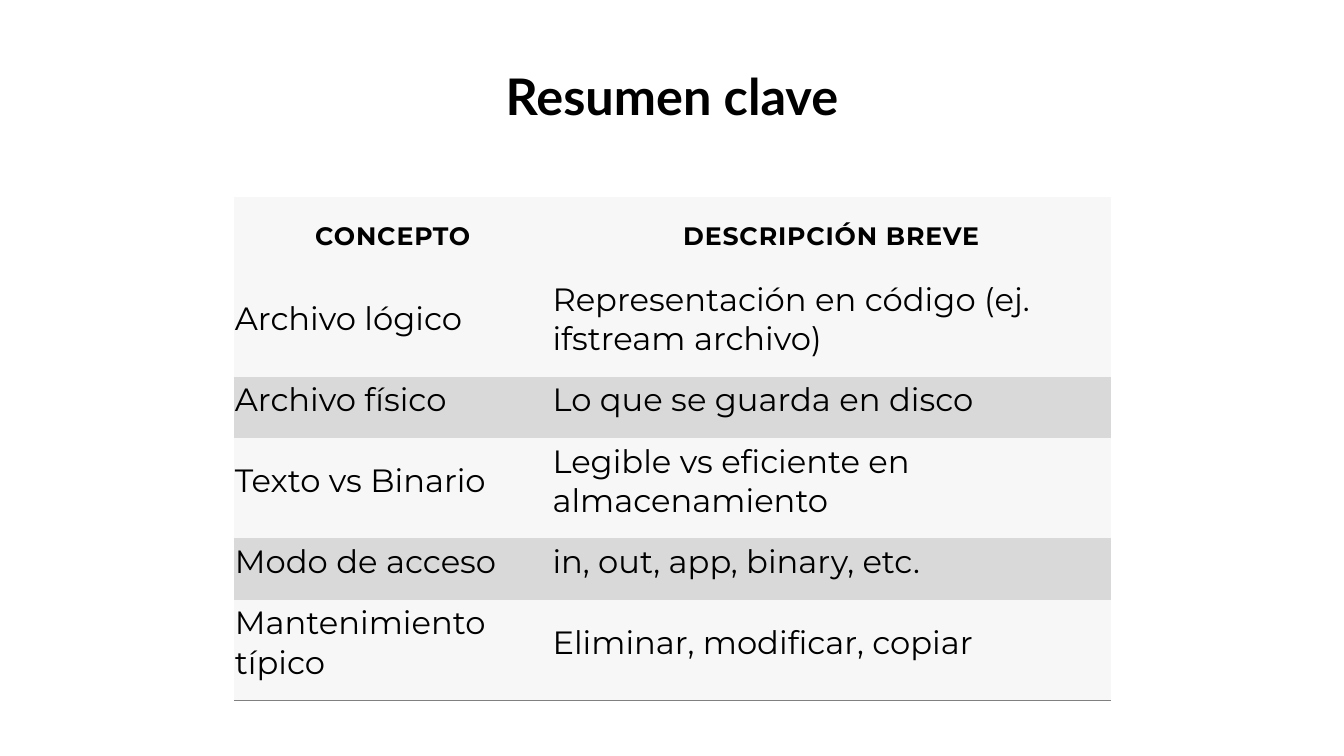
from lxml import etree
from pptx import Presentation
from pptx.dml.color import RGBColor
from pptx.enum.text import MSO_ANCHOR, MSO_AUTO_SIZE, PP_ALIGN
from pptx.oxml.ns import qn
from pptx.util import Inches, Pt

CENTER = PP_ALIGN.CENTER
LEFT = PP_ALIGN.LEFT
MIDDLE = MSO_ANCHOR.MIDDLE
BOTTOM = MSO_ANCHOR.BOTTOM
NO_AUTOFIT = MSO_AUTO_SIZE.NONE

BLACK, PALE, BAND, RULE = "000000", "F7F7F7", "D9D9D9", "808080"
PLAIN_TABLE_STYLE = "{2D5ABB26-0587-4C30-8999-92F81FD0307C}"

SUMMARY = [
    ("CONCEPTO", "DESCRIPCIÓN BREVE"),
    ("Archivo lógico", "Representación en código (ej. ifstream archivo)"),
    ("Archivo físico", "Lo que se guarda en disco"),
    ("Texto vs Binario", "Legible vs eficiente en almacenamiento"),
    ("Modo de acceso", "in, out, app, binary, etc."),
    ("Mantenimiento típico", "Eliminar, modificar, copiar"),
]
COLUMN_WIDTHS = (3.15, 5.55)
ROW_HEIGHTS = (0.79, 1, 0.61, 1, 0.61, 1)


def color(hex_string):
    return RGBColor.from_string(hex_string)


def format_text(frame, font_name, size, bold, alignment):
    paragraph = frame.paragraphs[0]
    paragraph.alignment = alignment
    font = paragraph.runs[0].font
    font.name = font_name
    font.size = Pt(size)
    font.bold = bold
    font.color.rgb = color(BLACK)
    return paragraph


def set_margins(cell, side, bottom):
    cell.margin_left = cell.margin_right = cell.margin_top = Inches(side)
    cell.margin_bottom = Inches(bottom)


def add_bottom_rule(cell, hex_string, width):
    rule = etree.Element(qn("a:lnB"), w=str(Pt(width)))
    fill = etree.SubElement(rule, qn("a:solidFill"))
    etree.SubElement(fill, qn("a:srgbClr"), val=hex_string)
    cell._tc.get_or_add_tcPr().insert(0, rule)


def place_title(slide, left, top, width, height):
    title = slide.shapes.title
    title.left, title.top = Inches(left), Inches(top)
    title.width, title.height = Inches(width), Inches(height)
    frame = title.text_frame
    frame.text = "Resumen clave"
    frame.auto_size = NO_AUTOFIT
    frame.vertical_anchor = BOTTOM
    format_text(frame, "Lato", 36, True, CENTER).line_spacing = 0.9


def format_cell(cell, text, row):
    is_header = row == 0
    cell.text = text
    cell.vertical_anchor = MIDDLE
    cell.fill.solid()
    cell.fill.fore_color.rgb = color(BAND if row and row % 2 == 0 else PALE)
    if is_header:
        set_margins(cell, 0.22, 0.22)
        heading = format_text(cell.text_frame, "Montserrat", 18, True, CENTER)
        heading.runs[0].font._element.set("spc", "60")
    else:
        set_margins(cell, 0.01, 0.15)
        format_text(cell.text_frame, "Montserrat", 23, False, LEFT)
    if row == len(SUMMARY) - 1:
        add_bottom_rule(cell, RULE, 1)


def place_summary(slide, left, top, width, height):
    summary = slide.shapes.add_table(
        len(SUMMARY), len(COLUMN_WIDTHS),
        Inches(left), Inches(top), Inches(width), Inches(height),
    ).table
    summary._tbl.tblPr.find(qn("a:tableStyleId")).text = PLAIN_TABLE_STYLE
    summary.horz_banding = False
    for column, share in zip(summary.columns, COLUMN_WIDTHS):
        column.width = Inches(width * share / sum(COLUMN_WIDTHS))
    for row, share in zip(summary.rows, ROW_HEIGHTS):
        row.height = Inches(height * share / sum(ROW_HEIGHTS))
    for row, entries in enumerate(SUMMARY):
        for column, text in enumerate(entries):
            format_cell(summary.cell(row, column), text, row)


def main():
    presentation = Presentation()
    presentation.slide_width = Inches(13.33)
    presentation.slide_height = Inches(7.5)
    slide = presentation.slides.add_slide(presentation.slide_layouts[5])
    place_title(slide, 1.89, 0.55, 9.55, 0.75)
    place_summary(slide, 2.32, 1.95, 8.7, 5)
    presentation.save("out.pptx")


if __name__ == "__main__":
    main()
